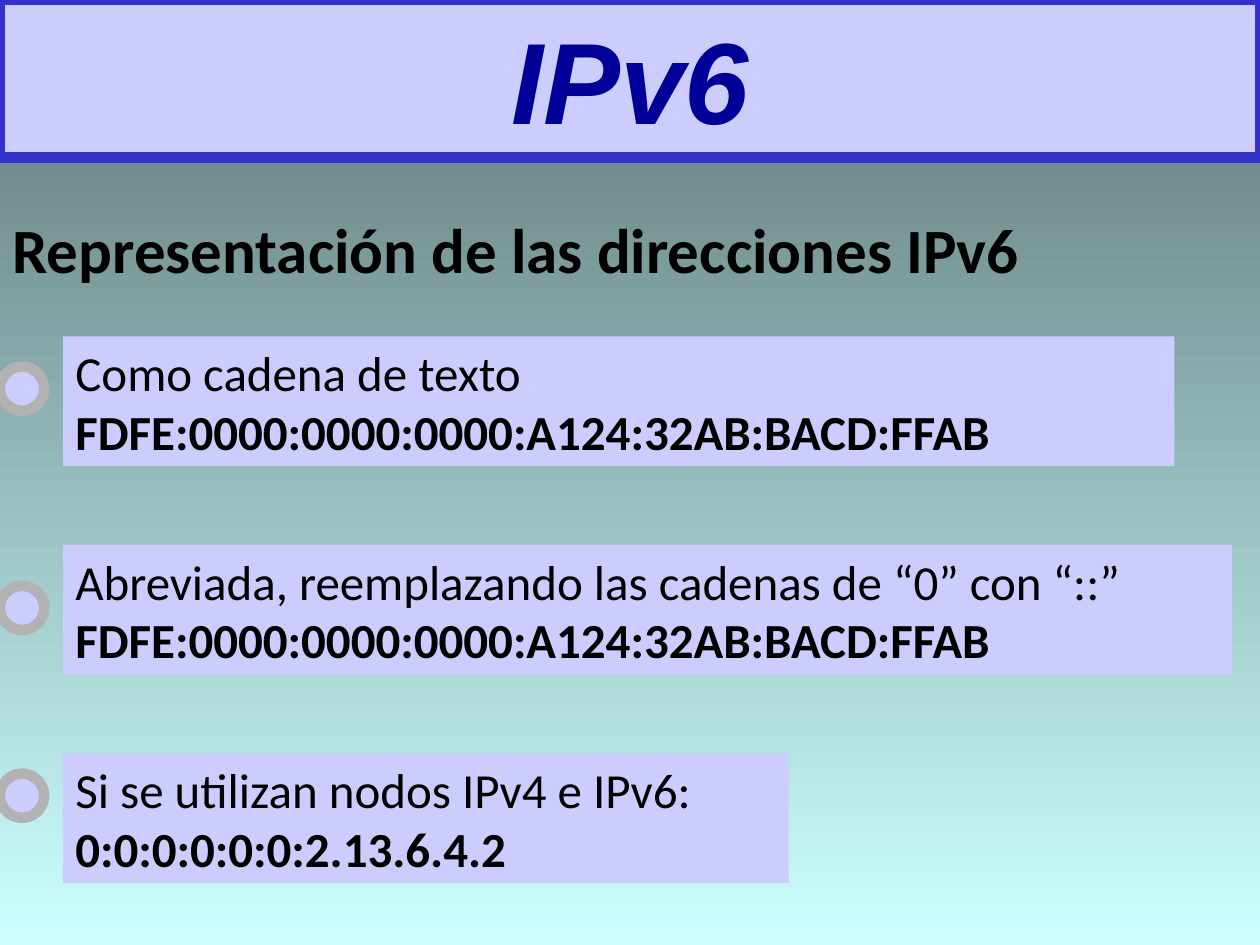
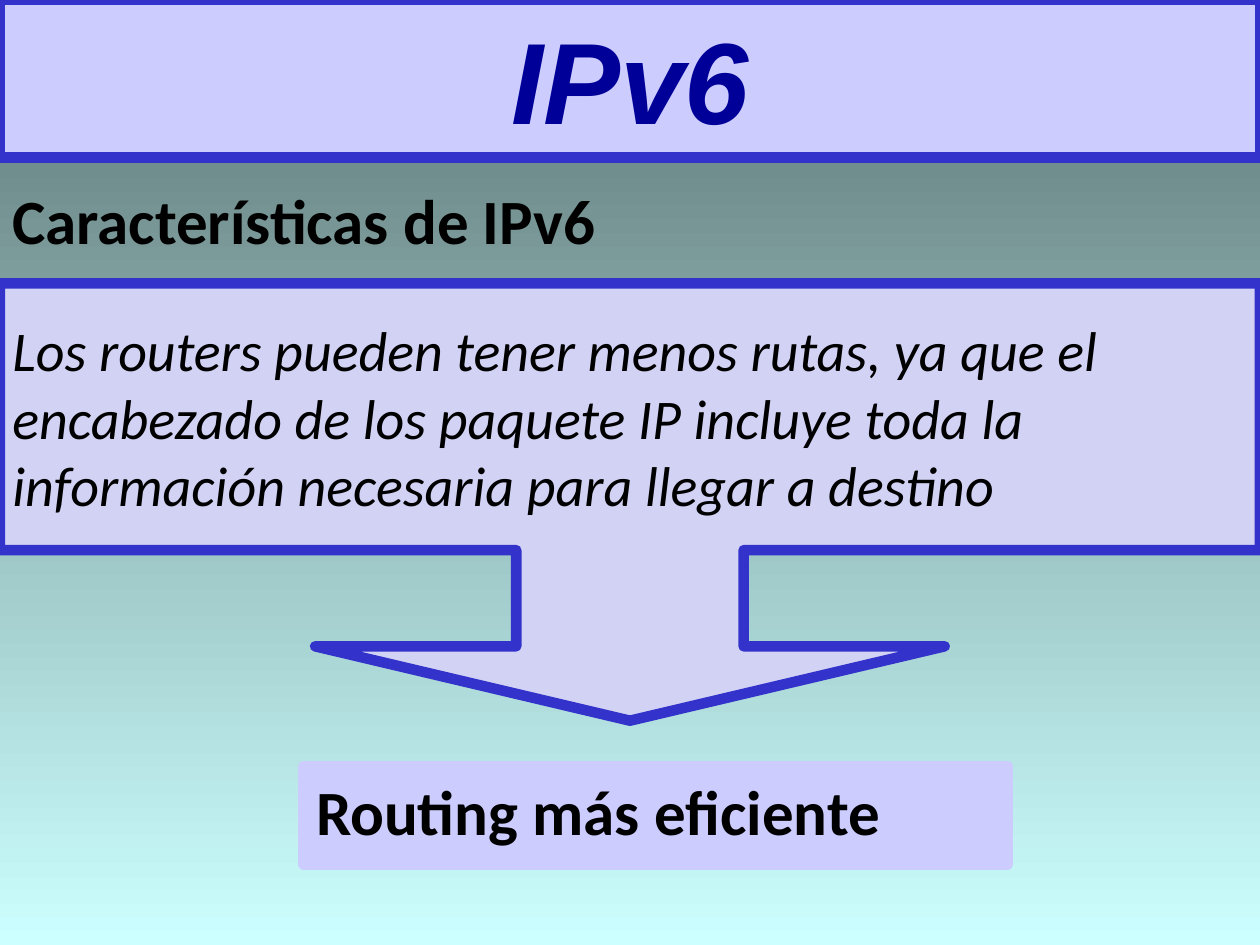
from pptx import Presentation
from pptx.dml.color import RGBColor
from pptx.enum.shapes import MSO_SHAPE
from pptx.enum.text import MSO_ANCHOR, PP_ALIGN
from pptx.util import Inches, Pt

# Slide grid
SLIDE_WIDTH, SLIDE_HEIGHT = Inches(10), Inches(7.5)
COLUMNS, ROWS = 40, 30

# Shared colours and fonts
GRADIENT_TOP = RGBColor(0x5E, 0x76, 0x76)
GRADIENT_BOTTOM = RGBColor(0xCC, 0xFF, 0xFF)
LAVENDER = RGBColor(0xCC, 0xCC, 0xFF)
PALE_LAVENDER = RGBColor(0xD2, 0xD2, 0xF4)
BLUE = RGBColor(0x33, 0x33, 0xCC)
NAVY = RGBColor(0x00, 0x00, 0x99)
GREY = RGBColor(0xB2, 0xB2, 0xB2)
BLACK = RGBColor(0x00, 0x00, 0x00)
TITLE_FONT, BODY_FONT = "Arial", "Calibri"

# Address formats: caption, address, box width in columns, marker row
FULL_ADDRESS = "FDFE:0000:0000:0000:A124:32AB:BACD:FFAB"
ADDRESS_FORMATS = [
    ("Como cadena de texto", FULL_ADDRESS, 35.28, 11.64),
    ("Abreviada, reemplazando las cadenas de “0” con “::”", FULL_ADDRESS, 37.12, 18.6),
    ("Si se utilizan nodos IPv4 e IPv6:", "0:0:0:0:0:0:2.13.6.4.2", 23.04, 24.56),
]
FIRST_FORMAT_ROW, FORMAT_PITCH = 10.68, 6.62

ROUTES_LINES = [
    "Los routers pueden tener menos rutas, ya que el",
    "encabezado de los paquete IP incluye toda la",
    "información necesaria para llegar a destino",
]


def grid_box(column, row, column_span, row_span):
    """Turn grid cells into left, top, width and height."""
    column_width, row_height = SLIDE_WIDTH / COLUMNS, SLIDE_HEIGHT / ROWS
    return (int(column * column_width), int(row * row_height),
            int(column_span * column_width), int(row_span * row_height))


def add_block(slide, kind, cells, fill, line=None):
    shape = slide.shapes.add_shape(kind, *grid_box(*cells))
    shape.shadow.inherit = False
    shape.fill.solid()
    shape.fill.fore_color.rgb = fill
    if line is None:
        shape.line.fill.background()
    else:
        shape.line.color.rgb = line
        shape.line.width = Pt(6)
    return shape


def write_lines(shape, lines, size, bold=False, italic=False, font=BODY_FONT,
                color=BLACK, align=PP_ALIGN.LEFT, anchor=MSO_ANCHOR.TOP):
    frame = shape.text_frame
    frame.word_wrap = True
    frame.vertical_anchor = anchor
    frame.text = "\n".join(lines)
    for paragraph in frame.paragraphs:
        paragraph.alignment = align
        paragraph.font.name = font
        paragraph.font.size = Pt(size)
        paragraph.font.bold = bold
        paragraph.font.italic = italic
        paragraph.font.color.rgb = color


def add_topic_slide(presentation, heading, heading_row):
    """Add a slide with the gradient, the title band and a heading."""
    slide = presentation.slides.add_slide(presentation.slide_layouts[6])
    background = slide.background.fill
    background.gradient()
    background.gradient_angle = 270
    for stop, color in zip(background.gradient_stops, (GRADIENT_TOP, GRADIENT_BOTTOM)):
        stop.color.rgb = color

    band = add_block(slide, MSO_SHAPE.RECTANGLE, (0, 0, COLUMNS, 5), LAVENDER, BLUE)
    write_lines(band, ["IPv6"], 66, bold=True, italic=True, font=TITLE_FONT,
                color=NAVY, align=PP_ALIGN.CENTER, anchor=MSO_ANCHOR.MIDDLE)

    heading_box = slide.shapes.add_textbox(*grid_box(0, heading_row, 36, 2.8))
    write_lines(heading_box, [heading], 36, bold=True)
    return slide


def add_address_format(slide, row, caption, address, column_span, marker_row):
    box = add_block(slide, MSO_SHAPE.RECTANGLE, (2, row, column_span, 4.12), LAVENDER)
    write_lines(box, [caption, address], 28)
    box.text_frame.paragraphs[1].font.bold = True
    add_block(slide, MSO_SHAPE.FLOWCHART_CONNECTOR, (0, marker_row, 1.4, 1.4),
              LAVENDER, GREY)


def add_routes_callout(slide):
    callout = add_block(slide, MSO_SHAPE.DOWN_ARROW_CALLOUT,
                        (0, 9, COLUMNS, 13.88), PALE_LAVENDER, BLUE)
    for index, share in enumerate((0.52, 0.72, 0.17, 0.61)):
        callout.adjustments[index] = share
    write_lines(callout, ROUTES_LINES, 32, italic=True, anchor=MSO_ANCHOR.MIDDLE)


def main():
    presentation = Presentation()
    presentation.slide_width = SLIDE_WIDTH
    presentation.slide_height = SLIDE_HEIGHT

    # Address representation
    slide = add_topic_slide(presentation, "Representación de las direcciones IPv6", 6.5)
    for index, address_format in enumerate(ADDRESS_FORMATS):
        add_address_format(slide, FIRST_FORMAT_ROW + index * FORMAT_PITCH, *address_format)

    # Features: fewer routes lead to efficient routing
    slide = add_topic_slide(presentation, "Características de IPv6", 5.56)
    result = add_block(slide, MSO_SHAPE.RECTANGLE, (9.64, 24.32, 22.36, 3.12),
                       LAVENDER, LAVENDER)
    write_lines(result, ["Routing más eficiente"], 36, bold=True)
    add_routes_callout(slide)

    presentation.save("out.pptx")


if __name__ == "__main__":
    main()
